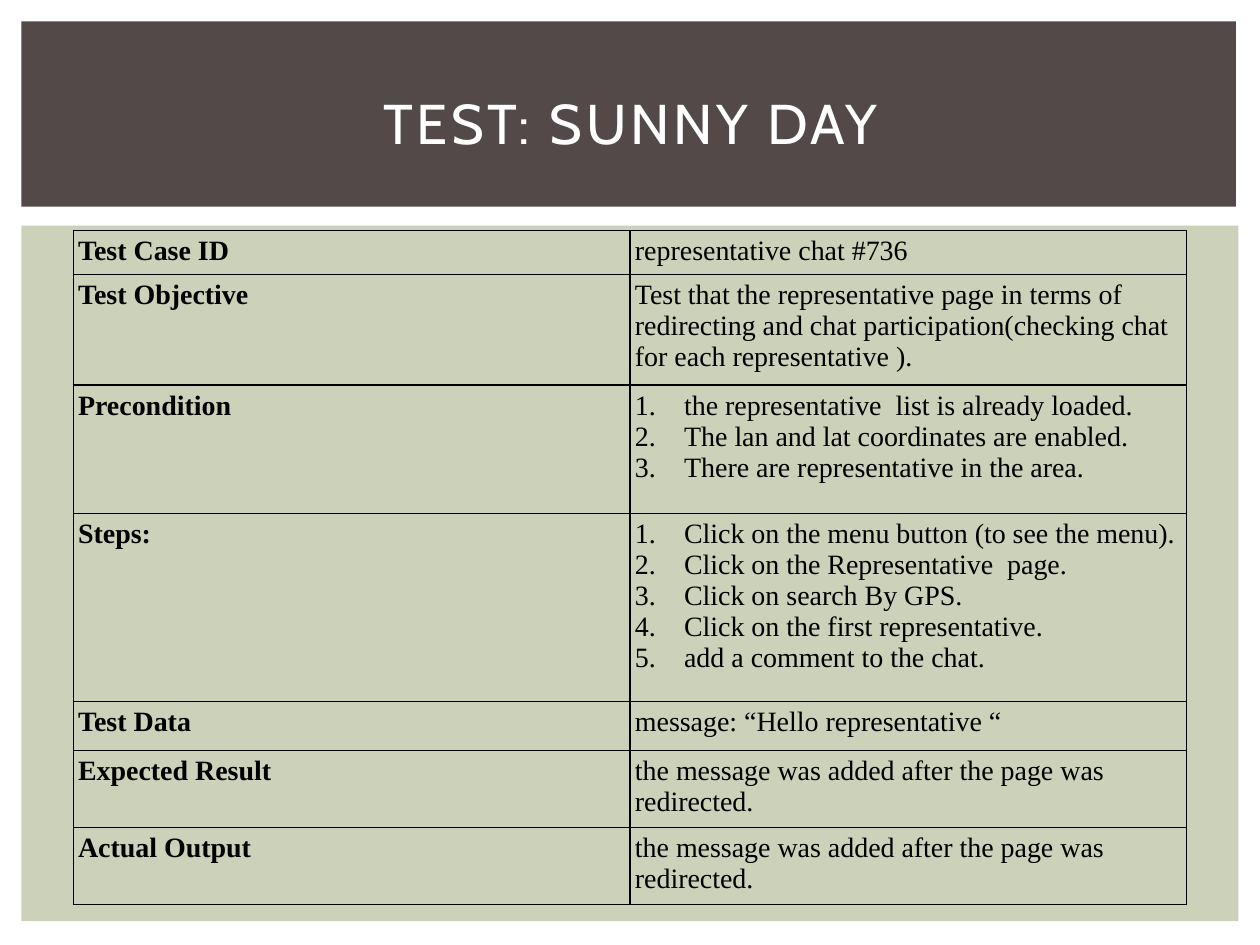
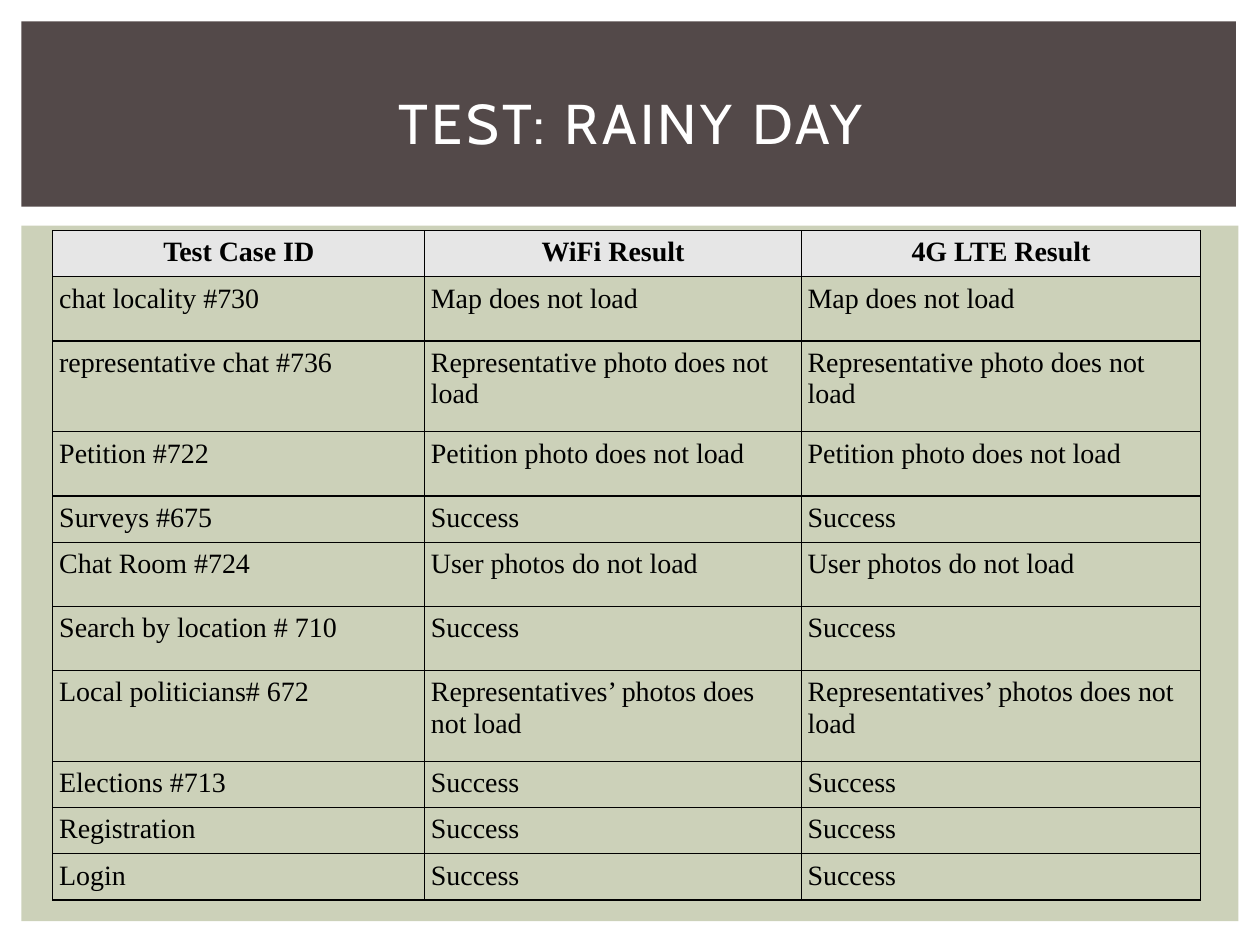
from lxml import etree
from pptx import Presentation, util as u
from pptx.dml.color import RGBColor
from pptx.enum import shapes, text
from pptx.oxml import ns

COLORS = {"page": "FFFFFF", "panel": "CCD1B9", "band": "534949",
          "title": "FFFFFF", "ink": "000000", "header": "E6E6E6"}
TITLE_FONT, BODY_FONT = "Cabin", "Times New Roman"
TITLE_SIZE, BODY_SIZE = 32, 16
WIDTH, HEIGHT = 10, 7.5
MARGIN = 0.17
TABLE_TOP = 1.83
LIST_INDENT = 0.39

# Row heights in inches: one, two or three steps of text
SHORT, MEDIUM, TALL = 0.35, 0.51, 0.72

# A list in a cell becomes a numbered list; each row starts with its height
SUNNY = [
    (0.32, "Test Case ID", "representative chat #736"),
    (0.86, "Test Objective",
     "Test that the representative page in terms of redirecting and chat "
     "participation(checking chat for each representative )."),
    (1.02, "Precondition", [
        "the representative \u00a0list is already loaded.",
        "The lan and lat coordinates are enabled.",
        "There are representative in the area."]),
    (1.49, "Steps:", [
        "Click on the menu button (to see the menu).",
        "Click on the Representative \u00a0page.",
        "Click on search By GPS.",
        "Click on the first representative.",
        "add a comment to the chat."]),
    (0.39, "Test Data", "message: \u201cHello representative \u201c"),
    (0.57, "Expected Result",
     "the message was added after the page was redirected."),
    (0.57, "Actual Output",
     "the message was added after the page was redirected."),
]

# Both networks gave the same result in every test
RAINY_HEAD = (SHORT, "Test Case ID", "WiFi Result", "4G LTE Result")
RAINY_RESULTS = [
    (MEDIUM, "chat locality #730", "Map does not load"),
    (TALL, "representative chat #736", "Representative photo does not load"),
    (MEDIUM, "Petition #722", "Petition photo does not load"),
    (SHORT, "Surveys #675", "Success"),
    (MEDIUM, "Chat Room #724", "User photos do not load"),
    (MEDIUM, "Search by location # 710", "Success"),
    (TALL, "Local politicians# 672",
     "Representatives\u2019 photos does not load"),
    (SHORT, "Elections #713", "Success"),
    (SHORT, "Registration", "Success"),
    (SHORT, "Login", "Success"),
]
RAINY = [RAINY_HEAD] + [(h, case, res, res) for h, case, res in RAINY_RESULTS]

SLIDES = [
    {"title": "TEST: SUNNY DAY", "rows": SUNNY, "left": 0.58,
     "cols": [4.42] * 2, "inset": 0.04, "header": "column"},
    {"title": "TEST: RAINY DAY", "rows": RAINY, "left": 0.42,
     "cols": [2.95, 2.99, 3.17], "inset": 0.05, "header": "row"},
]


def rgb(name):
    """Return a palette colour."""
    return RGBColor.from_string(COLORS[name])


def inches(*values):
    """Convert several lengths to inches."""
    return [u.Inches(v) for v in values]


def style_run(r, font, size, color, bold=False):
    """Set the font of a run."""
    r.font.name, r.font.size, r.font.bold = font, u.Pt(size), bold
    r.font.color.rgb = rgb(color)


def add_block(s, color, *box):
    """Add a plain filled rectangle."""
    sp = s.shapes.add_shape(shapes.MSO_SHAPE.RECTANGLE, *inches(*box))
    sp.shadow.inherit = False
    sp.fill.solid()
    sp.fill.fore_color.rgb = rgb(color)
    sp.line.fill.background()


def add_title(s, title):
    """Add the spaced, centred title over the band."""
    tf = s.shapes.add_textbox(*inches(0.42, 0.39, 9.17, 1.15)).text_frame
    tf.word_wrap = True
    tf.vertical_anchor = text.MSO_ANCHOR.MIDDLE
    p = tf.paragraphs[0]
    p.text, p.alignment = title, text.PP_ALIGN.CENTER
    style_run(p.runs[0], TITLE_FONT, TITLE_SIZE, "title")
    p.runs[0].font._element.set("spc", "200")


def number_paragraph(p):
    """Give a paragraph an automatic number and a hanging indent."""
    pPr = p._p.get_or_add_pPr()
    indent = u.Inches(LIST_INDENT)
    pPr.set("marL", str(indent))
    pPr.set("indent", str(-indent))
    etree.SubElement(pPr, ns.qn("a:buFont"), typeface="+mj-lt")
    etree.SubElement(pPr, ns.qn("a:buAutoNum"), type="arabicPeriod")


def add_borders(cell):
    """Draw thin lines on the four sides of a cell."""
    tcPr = cell._tc.get_or_add_tcPr()
    for i, side in enumerate(("lnL", "lnR", "lnT", "lnB")):
        ln = etree.Element(ns.qn("a:" + side), w=str(u.Pt(0.75)))
        fill = etree.SubElement(ln, ns.qn("a:solidFill"))
        etree.SubElement(fill, ns.qn("a:srgbClr"), val=COLORS["ink"])
        tcPr.insert(i, ln)


def fill_cell(cell, content, inset, bold, shaded):
    """Write and format one table cell."""
    cell.margin_left = cell.margin_right = u.Inches(inset)
    cell.margin_top = cell.margin_bottom = u.Inches(inset)
    numbered = isinstance(content, list)
    cell.text_frame.text = "\n".join(content) if numbered else content
    for p in cell.text_frame.paragraphs:
        if shaded:
            p.alignment = text.PP_ALIGN.CENTER
        if numbered:
            number_paragraph(p)
        style_run(p.runs[0], BODY_FONT, BODY_SIZE, "ink", bold)
    if shaded:
        cell.fill.solid()
        cell.fill.fore_color.rgb = rgb("header")
    else:
        cell.fill.background()
    add_borders(cell)


def add_grid(s, rows, left, cols, inset, header):
    """Add a table whose first row or first column is the header."""
    total = sum(row[0] for row in rows)
    tbl = s.shapes.add_table(len(rows), len(cols), *inches(
        left, TABLE_TOP, sum(cols), total)).table
    tbl.horz_banding = False
    tbl.first_row, tbl.first_col = header == "row", header == "column"
    for col, width in zip(tbl.columns, cols):
        col.width = u.Inches(width)
    for i, (height, *contents) in enumerate(rows):
        tbl.rows[i].height = u.Inches(height)
        for j, content in enumerate(contents):
            shaded = header == "row" and i == 0
            bold = shaded or (header == "column" and j == 0)
            fill_cell(tbl.cell(i, j), content, inset, bold, shaded)


def add_slide(prs, title, **grid):
    """Add a slide with the shared panel, band and title, and its table."""
    s = prs.slides.add_slide(prs.slide_layouts[6])
    s.background.fill.solid()
    s.background.fill.fore_color.rgb = rgb("page")
    add_block(s, "panel", MARGIN, 1.79, WIDTH - 2 * MARGIN, 5.52)
    add_block(s, "band", MARGIN, MARGIN, 9.64, 1.47)
    add_title(s, title)
    add_grid(s, **grid)


prs = Presentation()
prs.slide_width, prs.slide_height = inches(WIDTH, HEIGHT)
for content in SLIDES:
    add_slide(prs, **content)
prs.save("out.pptx")
